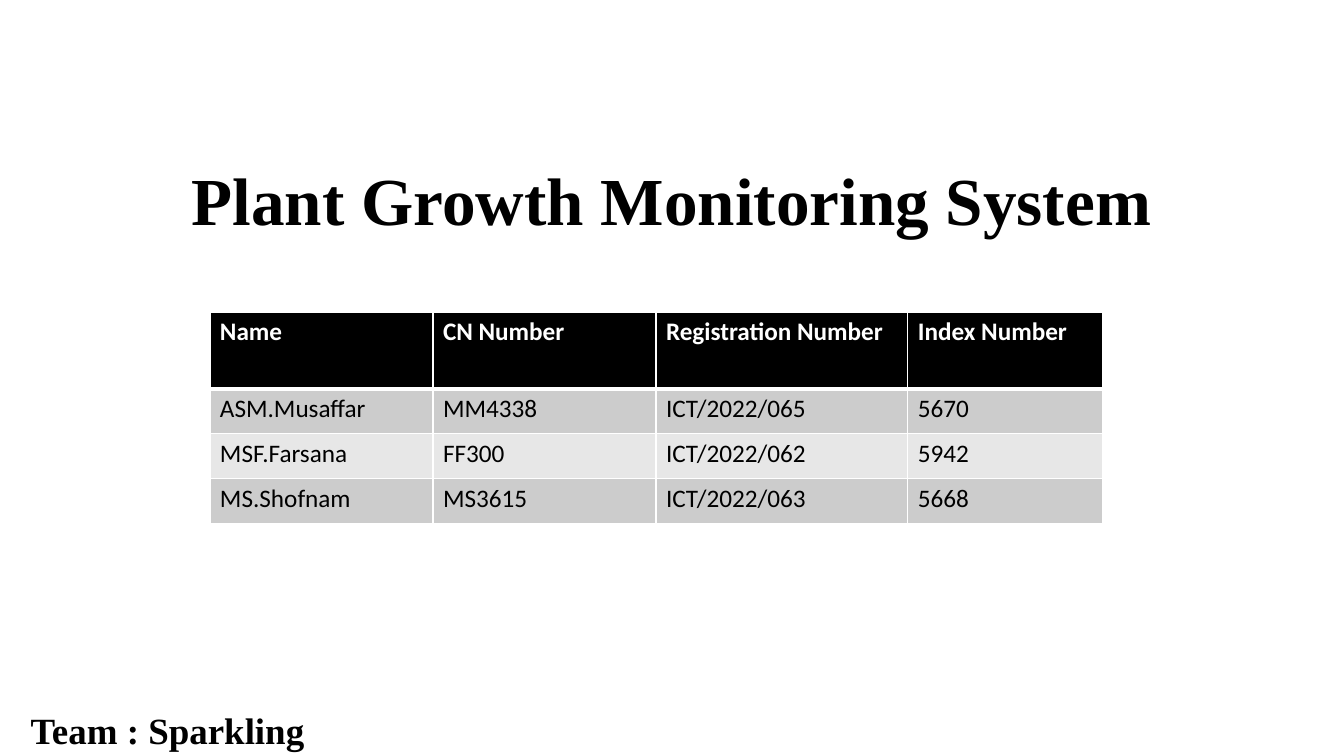
import dataclasses

import lxml.etree
import pptx
import pptx.dml.color
import pptx.enum.text
import pptx.oxml.ns
import pptx.util

Cm = pptx.util.Cm
Pt = pptx.util.Pt
RGB = pptx.dml.color.RGBColor.from_string
qn = pptx.oxml.ns.qn


@dataclasses.dataclass(frozen=True)
class Theme:
    heading_font: str = "Times New Roman"
    table_font: str = "Calibri"
    dark: str = "000000"
    light: str = "FFFFFF"
    bands: tuple = ("CCCCCC", "E7E7E7")
    title_size: float = 48
    team_size: float = 26.4
    table_size: float = 18
    rule: float = 1
    header_rule: float = 3


class SlideBuilder:
    def __init__(self, prs, theme):
        self.theme = theme
        self.s = prs.slides.add_slide(prs.slide_layouts[5])
        self.s.background.fill.solid()
        self.s.background.fill.fore_color.rgb = RGB(theme.light)

    def run(self, p, text, font, size, color, bold):
        r = p.add_run()
        r.text = text
        r.font.name = font
        r.font.size = Pt(size)
        r.font.color.rgb = RGB(color)
        r.font.bold = bold

    def heading(self, sp, text, size, spacing):
        """Fill a shape with one centred line that rests on its bottom edge."""
        tf = sp.text_frame
        tf.word_wrap = True
        tf.auto_size = pptx.enum.text.MSO_AUTO_SIZE.NONE
        tf.vertical_anchor = pptx.enum.text.MSO_ANCHOR.BOTTOM
        p = tf.paragraphs[0]
        p.alignment = pptx.enum.text.PP_ALIGN.CENTER
        p.line_spacing = spacing
        self.run(p, text, self.theme.heading_font, size, self.theme.dark, True)

    def title(self, text, left, top, width, height):
        sp = self.s.shapes.title
        sp.left, sp.top, sp.width, sp.height = map(Cm, (left, top, width, height))
        self.heading(sp, text, self.theme.title_size, 0.9)

    def team(self, text, left, top, width, height):
        sp = self.s.shapes.add_textbox(*map(Cm, (left, top, width, height)))
        self.heading(sp, text, self.theme.team_size, 0.7)

    def borders(self, cell, top, bottom):
        """Draw the cell's rules; the lines must stand before its fill."""
        tc_pr = cell._tc.get_or_add_tcPr()
        side = self.theme.rule
        widths = {"lnL": side, "lnR": side, "lnT": top, "lnB": bottom}
        for i, (tag, width) in enumerate(widths.items()):
            ln = lxml.etree.Element(qn(f"a:{tag}"), w=str(Pt(width)))
            fill = lxml.etree.SubElement(ln, qn("a:solidFill"))
            lxml.etree.SubElement(fill, qn("a:srgbClr"), val=self.theme.light)
            tc_pr.insert(i, ln)

    def table(self, rows, left, top, col_widths, row_heights):
        t = self.theme
        frame = self.s.shapes.add_table(
            len(rows), len(col_widths), Cm(left), Cm(top),
            Cm(sum(col_widths)), Cm(sum(row_heights)))
        table = frame.table
        table.horz_banding = False
        for column, width in zip(table.columns, col_widths):
            column.width = Cm(width)
        for i, (row, height) in enumerate(zip(rows, row_heights)):
            table.rows[i].height = Cm(height)
            header = i == 0
            color = t.light if header else t.dark
            fill = t.dark if header else t.bands[(i - 1) % 2]
            for j, text in enumerate(row):
                cell = table.cell(i, j)
                cell.fill.solid()
                cell.fill.fore_color.rgb = RGB(fill)
                self.borders(cell,
                             t.header_rule if i == 1 else t.rule,
                             t.header_rule if header else t.rule)
                self.run(cell.text_frame.paragraphs[0], text,
                         t.table_font, t.table_size, color, header)


MEMBERS = [
    ("Name", "CN Number", "Registration Number", "Index Number"),
    ("ASM.Musaffar", "MM4338", "ICT/2022/065", "5670"),
    ("MSF.Farsana", "FF300", "ICT/2022/062", "5942"),
    ("MS.Shofnam", "MS3615", "ICT/2022/063", "5668"),
]


def main():
    prs = pptx.Presentation()
    prs.slide_width, prs.slide_height = Cm(33.87), Cm(19.05)
    slide = SlideBuilder(prs, Theme())
    slide.title("Plant Growth Monitoring System", 4.23, 2.9, 25.4, 3.28)
    slide.team("Team : Sparkling", -2.24, 17.91, 12.93, 1.14)
    slide.table(MEMBERS, 5.29, 7.86, (5.62, 5.62, 6.35, 4.9),
                (1.94, 1.13, 1.13, 1.13))
    prs.save("out.pptx")


if __name__ == "__main__":
    main()
